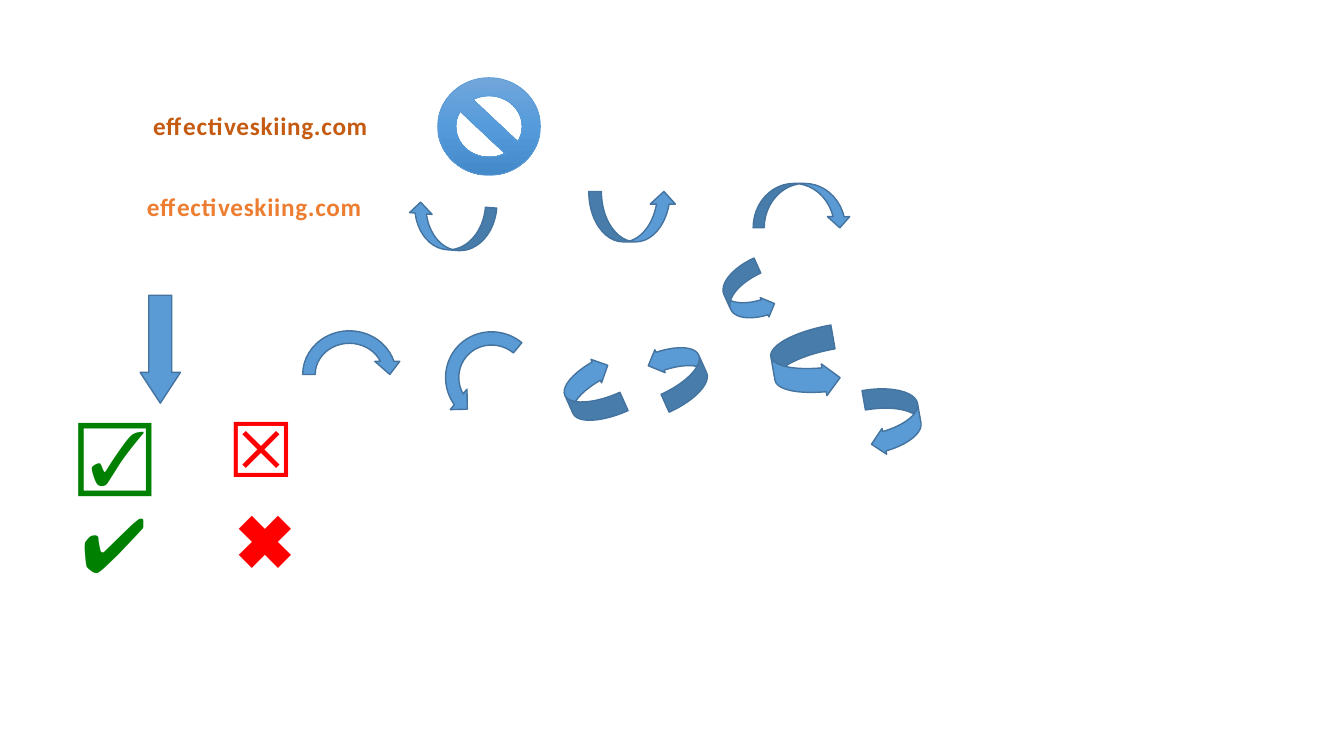
from copy import deepcopy
from dataclasses import dataclass

from pptx import Presentation
from pptx.dml.color import RGBColor
from pptx.enum.shapes import MSO_SHAPE
from pptx.enum.text import MSO_AUTO_SIZE, PP_ALIGN
from pptx.oxml.ns import qn
from pptx.shapes.autoshape import Shape
from pptx.slide import Slide
from pptx.util import Inches, Pt

COLORS = {
    "blue": "5B9BD5",
    "blue_edge": "43739E",
    "sign_top": "71A6DB",
    "sign_middle": "559BDB",
    "sign_bottom": "448ACA",
    "dark_orange": "C55A11",
    "orange": "ED7D31",
    "green": "008000",
    "red": "FF0000",
}
BEND_UP = (0.389, 0.5, 0.25)
BEND_DOWN = (0.375, 0.5, 0.25)
SIGN_STOPS = ((0, "sign_top"), (0.5, "sign_middle"), (1, "sign_bottom"))


@dataclass
class Arrow:
    kind: MSO_SHAPE
    box: tuple[float, float, float, float]
    rotation: float = 0
    flip: str = ""
    adjustments: tuple[float, ...] = ()


@dataclass
class Label:
    text: str
    box: tuple[float, float, float, float]
    color: str
    size: int
    font: str
    align: PP_ALIGN = PP_ALIGN.LEFT
    spacing: float = 0
    wrap: bool = False


ARROWS = [
    Arrow(MSO_SHAPE.CURVED_LEFT_ARROW, (4.25, 1.82, 0.45, 0.87), 94.5),
    Arrow(MSO_SHAPE.CURVED_UP_ARROW, (5.84, 1.9, 0.87, 0.5)),
    Arrow(MSO_SHAPE.CURVED_DOWN_ARROW, (7.47, 1.82, 0.97, 0.44)),
    Arrow(MSO_SHAPE.DOWN_ARROW, (1.39, 2.93, 0.4, 1.07), adjustments=(0.57, 0.763)),
    Arrow(MSO_SHAPE.CIRCULAR_ARROW, (2.94, 3.22, 1.05, 0.99)),
    Arrow(MSO_SHAPE.CIRCULAR_ARROW, (4.36, 3.22, 1.05, 1.07), 129.3, "V"),
    Arrow(MSO_SHAPE.CURVED_UP_ARROW, (7.11, 2.71, 0.6, 0.42), 65.8, "", BEND_UP),
    Arrow(MSO_SHAPE.CURVED_UP_ARROW, (5.56, 3.64, 0.62, 0.51), 65.8, "H", BEND_UP),
    Arrow(MSO_SHAPE.CURVED_UP_ARROW, (6.42, 3.45, 0.63, 0.5), 65.8, "HV", BEND_UP),
    Arrow(MSO_SHAPE.CURVED_DOWN_ARROW, (7.64, 3.3, 0.69, 0.64), 260, "H", BEND_DOWN),
    Arrow(MSO_SHAPE.CURVED_DOWN_ARROW, (8.53, 3.9, 0.67, 0.52), 260, "HV", BEND_DOWN),
]

SITE = "effectiveskiing.com"
LABELS = [
    Label(SITE, (1.42, 1.05, 2.34, 0.4), "dark_orange", 18, "Calibri", spacing=0.5),
    Label(SITE, (1.36, 1.85, 2.34, 0.4), "orange", 18, "Calibri", spacing=0.5),
    Label("☑✔", (0.38, 3.98, 1.52, 1.01), "green", 54, "Arial", PP_ALIGN.CENTER, wrap=True),
    Label("☒✖", (1.91, 3.94, 1.45, 1.01), "red", 54, "Arial", PP_ALIGN.CENTER, wrap=True),
]


def rgb(name: str) -> RGBColor:
    return RGBColor.from_string(COLORS[name])


def add_outlined(slide: Slide, kind: MSO_SHAPE, box: tuple, edge: str, width: float) -> Shape:
    sp = slide.shapes.add_shape(kind, *map(Inches, box))
    sp.shadow.inherit = False
    sp.line.color.rgb = rgb(edge)
    sp.line.width = Pt(width)
    return sp


def add_arrow(slide: Slide, arrow: Arrow) -> None:
    sp = add_outlined(slide, arrow.kind, arrow.box, "blue_edge", 1)
    sp.fill.solid()
    sp.fill.fore_color.rgb = rgb("blue")
    sp.rotation = arrow.rotation
    for axis in arrow.flip:
        sp._element.spPr.get_or_add_xfrm().set(f"flip{axis}", "1")
    for i, value in enumerate(arrow.adjustments):
        sp.adjustments[i] = value


def add_no_entry_sign(slide: Slide) -> None:
    sp = add_outlined(slide, MSO_SHAPE.NO_SYMBOL, (4.34, 0.77, 1.02, 0.97), "blue", 0.5)
    sp.fill.gradient()
    sp.fill.gradient_angle = 270
    stops = sp._element.spPr.find(f".//{qn('a:gsLst')}")
    stops.append(deepcopy(stops[0]))
    for stop, (position, color) in zip(sp.fill.gradient_stops, SIGN_STOPS):
        stop.position = position
        stop.color.rgb = rgb(color)


def add_label(slide: Slide, label: Label) -> None:
    tf = slide.shapes.add_textbox(*map(Inches, label.box)).text_frame
    tf.word_wrap = label.wrap
    tf.auto_size = MSO_AUTO_SIZE.SHAPE_TO_FIT_TEXT
    p = tf.paragraphs[0]
    p.alignment = label.align
    r = p.add_run()
    r.text = label.text
    r.font.name = label.font
    r.font.size = Pt(label.size)
    r.font.bold = True
    r.font.color.rgb = rgb(label.color)
    if label.spacing:
        r.font._element.set("spc", str(int(label.spacing * 100)))


def main() -> None:
    prs = Presentation()
    prs.slide_width = Inches(13.33)
    prs.slide_height = Inches(7.5)
    slide = prs.slides.add_slide(prs.slide_layouts[6])
    for arrow in ARROWS:
        add_arrow(slide, arrow)
    add_no_entry_sign(slide)
    for label in LABELS:
        add_label(slide, label)
    prs.save("out.pptx")


if __name__ == "__main__":
    main()
